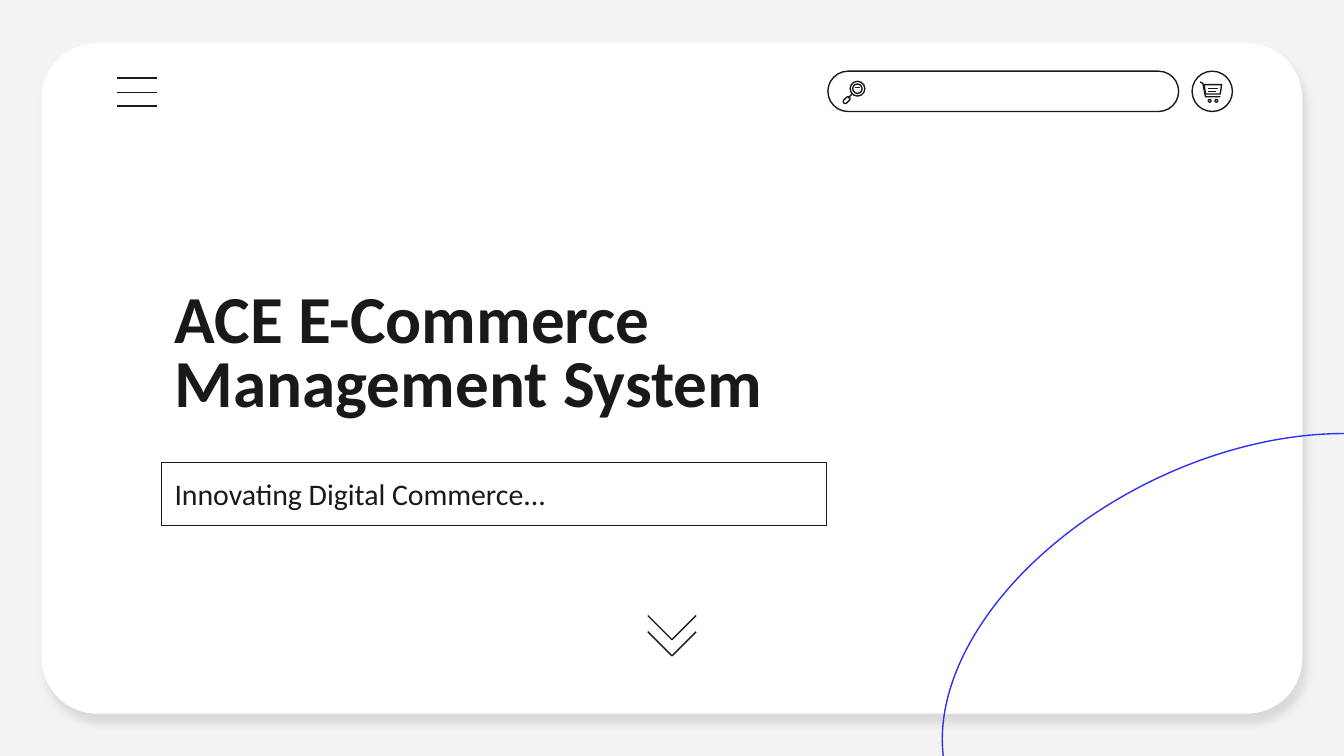
from lxml import etree
from pptx import Presentation
from pptx.dml.color import RGBColor
from pptx.enum.shapes import MSO_CONNECTOR as Conn, MSO_SHAPE as Kind
from pptx.enum.text import MSO_ANCHOR as Anchor, MSO_AUTO_SIZE as Fit, PP_ALIGN as Align
from pptx.oxml.ns import qn
from pptx.util import Inches, Pt

HUE = {"page": "F3F3F3", "card": "FFFFFF", "ink": "191919", "arc": "2F2FF4", "shade": "000000"}


def style(shape, line="ink", fill=None):
    """Set line and fill by colour name and drop the shadow."""
    if fill:
        shape.fill.solid()
        shape.fill.fore_color.rgb = RGBColor.from_string(HUE[fill])
    elif hasattr(shape, "fill"):
        shape.fill.background()
    if line:
        shape.line.color.rgb = RGBColor.from_string(HUE[line])
        shape.line.width = Pt(0.75)
    else:
        shape.line.fill.background()
    if hasattr(shape, "shadow"):
        shape.shadow.inherit = False
    else:
        etree.SubElement(shape.element.spPr, qn("a:effectLst"))
    return shape


def write(shape, text, size=16, bold=False, space=1.0, anchor=Anchor.TOP):
    frame = shape.text_frame
    frame.word_wrap, frame.auto_size = True, Fit.NONE
    frame.vertical_anchor = anchor
    frame.margin_left = frame.margin_right = Inches(0.1)
    frame.margin_top = frame.margin_bottom = Inches(0.1)
    frame.text = text
    para = frame.paragraphs[0]
    para.alignment, para.line_spacing = Align.LEFT, space
    font = para.runs[0].font
    font.name, font.size, font.bold = "Calibri", Pt(size), bold
    font.color.rgb = RGBColor.from_string(HUE["ink"])


# Slide in 16:9
deck = Presentation()
deck.slide_width, deck.slide_height = Inches(10), Inches(10 * 9 / 16)
slide = deck.slides.add_slide(deck.slide_layouts[5])
slide.background.fill.solid()
slide.background.fill.fore_color.rgb = RGBColor.from_string(HUE["page"])
shapes = slide.shapes

# White card with a soft shadow
card = shapes.add_shape(Kind.ROUNDED_RECTANGLE, Inches(0.31), Inches(0.32), Inches(9.38), Inches(4.99))
card.adjustments[0] = 0.083
style(card, line=None, fill="card")
glow = etree.SubElement(card.element.spPr.find(qn("a:effectLst")), qn("a:outerShdw"),
                        blurRad=str(Pt(4.5)), dist=str(Pt(6)), dir=str(68 * 60000),
                        algn="bl", rotWithShape="0")
tint = etree.SubElement(glow, qn("a:srgbClr"), val=HUE["shade"])
etree.SubElement(tint, qn("a:alpha"), val="10000")

# Search bar and magnifier handle
bar = style(shapes.add_shape(Kind.ROUNDED_RECTANGLE, Inches(6.16), Inches(0.53), Inches(2.61), Inches(0.3)))
grip = style(shapes.add_shape(Kind.ROUNDED_RECTANGLE, Inches(6.27), Inches(0.73), Inches(0.06), Inches(0.03)))
bar.adjustments[0] = grip.adjustments[0] = 0.5
grip.rotation = -45

# Circles: lens rings, cart button, cart wheels
for x, y, size in [(6.38, 0.66, 0.11), (6.38, 0.66, 0.07), (9.02, 0.68, 0.3),
                   (9, 0.75, 0.02), (9.05, 0.75, 0.02)]:
    style(shapes.add_shape(Kind.OVAL, Inches(x - size / 2), Inches(y - size / 2), Inches(size), Inches(size)))

# Straight strokes: menu, lens neck and glint, cart goods
menu = [(0.87, y, 1.17, y) for y in (0.58, 0.69, 0.79)]
lens = [(6.31, 0.73, 6.34, 0.7), (6.36, 0.65, 6.4, 0.65)]
goods = [(8.99, 0.66, 9.06, 0.66), (8.99, 0.68, 9.05, 0.68)]
for ends in menu + lens + goods:
    style(shapes.add_connector(Conn.STRAIGHT, *[Inches(v) for v in ends]))

# Title and tagline
title = shapes.title
title.left, title.top, title.width, title.height = Inches(1.2), Inches(1.71), Inches(4.95), Inches(1.52)
write(title, "ACE E-Commerce Management System", size=36, bold=True, space=0.8, anchor=Anchor.BOTTOM)
shapes.element.append(title.element)  # bring in front of the card
tag = style(shapes.add_shape(Kind.RECTANGLE, Inches(1.2), Inches(3.44), Inches(4.95), Inches(0.47)))
write(tag, "Innovating Digital Commerce...")

# Blue arc at the corner
arc = style(shapes.add_shape(Kind.OVAL, Inches(6.87), Inches(3.43), Inches(4.69), Inches(2.95)), line="arc")
arc.rotation = 333.9

# Bent strokes: cart frame, cart basket, two chevrons
frame = [(8.93, 0.61), (8.95, 0.62), (8.97, 0.72), (9.08, 0.72)]
basket = [(8.96, 0.63), (9.09, 0.63), (9.08, 0.7), (8.97, 0.7), (8.96, 0.63)]
chevs = [[(4.82, y), (5, y + 0.18), (5.18, y)] for y in (4.7, 4.58)]
for points in [frame, basket] + chevs:
    spots = [(Inches(x), Inches(y)) for x, y in points]
    pen = shapes.build_freeform(*spots[0])
    pen.add_line_segments(spots[1:], close=False)
    style(pen.convert_to_shape())

deck.save("out.pptx")
